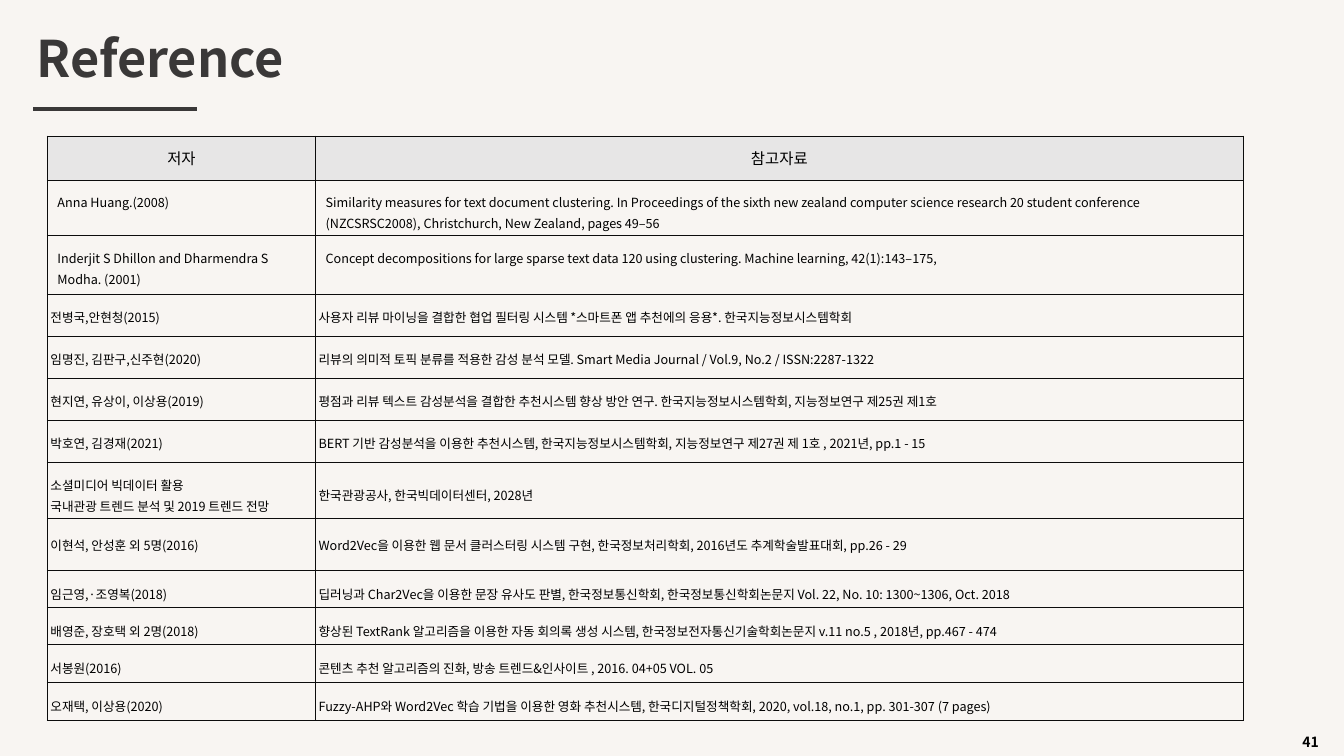
from lxml import etree
from pptx import Presentation
from pptx.dml.color import RGBColor
from pptx.enum import shapes, text
from pptx.oxml import ns
from pptx.util import Inches, Pt

FONT = "Noto Sans CJK KR"
INK, BORDER, HEADER_FILL = "3A3838", "0C0C0C", "E7E6E6"


def write_text(frame, content, size=9, color="000000", bold=False, align=None,
               spacing=None, kerning=True):
    frame.word_wrap = True
    frame.vertical_anchor = text.MSO_ANCHOR.TOP
    for index, line in enumerate(content.split("\n")):
        paragraph = frame.add_paragraph() if index else frame.paragraphs[0]
        paragraph.alignment = align
        paragraph.line_spacing = spacing
        run = paragraph.add_run()
        run.text = line
        run.font.size, run.font.bold, run.font.name = Pt(size), bold, FONT
        run.font.color.rgb = RGBColor.from_string(color)
        east_asian = etree.SubElement(run.font._element, ns.qn("a:ea"))
        east_asian.set("typeface", FONT)
        if not kerning:
            run.font._element.set("kern", "0")


def add_borders(cell):
    properties = cell._tc.get_or_add_tcPr()
    for side in ("lnL", "lnR", "lnT", "lnB"):
        line = etree.SubElement(properties, ns.qn("a:" + side), w=str(Pt(0.75)))
        fill = etree.SubElement(line, ns.qn("a:solidFill"))
        etree.SubElement(fill, ns.qn("a:srgbClr"), val=BORDER)


presentation = Presentation()
presentation.slide_width, presentation.slide_height = Inches(13.33), Inches(7.5)
slide = presentation.slides.add_slide(presentation.slide_layouts[5])
slide.background.fill.solid()
slide.background.fill.fore_color.rgb = RGBColor.from_string("F8F5F2")

# Title and underline
title = slide.shapes.title
title.left, title.top = Inches(0.26), Inches(0.29)
title.width, title.height = Inches(8.67), Inches(0.89)
write_text(title.text_frame, "Reference", size=36, color=INK, bold=True,
           align=text.PP_ALIGN.LEFT, spacing=0.9)
title.text_frame.auto_size = text.MSO_AUTO_SIZE.NONE

underline = slide.shapes.add_connector(
    shapes.MSO_CONNECTOR.STRAIGHT, Inches(0.33), Inches(1.08), Inches(1.95), Inches(1.08))
underline.line.color.rgb = RGBColor.from_string(INK)
underline.line.width = Pt(2.75)
etree.SubElement(underline._element.spPr, ns.qn("a:effectLst"))

# Reference table: row height, bottom margin, author, work
references = [
    (0.44, 0.1, "저자", "참고자료"),
    (0.55, 0.03, "Anna Huang.(2008)",
     "Similarity measures for text document clustering. In Proceedings of the sixth new zealand "
     "computer science research 20 student conference (NZCSRSC2008), Christchurch, New Zealand, "
     "pages 49–56"),
    (0.58, 0.03, "Inderjit S Dhillon and Dharmendra S Modha. (2001)",
     "Concept decompositions for large sparse text data 120 using clustering. "
     "Machine learning, 42(1):143–175,"),
    (0.42, 0.1, "전병국,안현청(2015)",
     "사용자 리뷰 마이닝을 결합한 협업 필터링 시스템 *스마트폰 앱 추천에의 응용*. 한국지능정보시스템학회"),
    (0.42, 0.1, "임명진, 김판구,신주현(2020)",
     "리뷰의 의미적 토픽 분류를 적용한 감성 분석 모델. "
     "Smart Media Journal / Vol.9, No.2 / ISSN:2287-1322"),
    (0.41, 0.1, "현지연, 유상이, 이상용(2019)",
     "평점과 리뷰 텍스트 감성분석을 결합한 추천시스템 향상 방안 연구. "
     "한국지능정보시스템학회, 지능정보연구 제25권 제1호"),
    (0.42, 0.1, "박호연, 김경재(2021)",
     "BERT 기반 감성분석을 이용한 추천시스템, 한국지능정보시스템학회, "
     "지능정보연구 제27권 제 1호 , 2021년, pp.1 - 15"),
    (0.55, 0.03, "소셜미디어 빅데이터 활용\n국내관광 트렌드 분석 및 2019 트렌드 전망",
     "한국관광공사, 한국빅데이터센터, 2028년"),
    (0.52, 0.1, "이현석, 안성훈 외 5명(2016)",
     "Word2Vec을 이용한 웹 문서 클러스터링 시스템 구현, 한국정보처리학회, "
     "2016년도 추계학술발표대회, pp.26 - 29"),
    (0.37, 0.03, "임근영,·조영복(2018)",
     "딥러닝과 Char2Vec을 이용한 문장 유사도 판별, 한국정보통신학회, "
     "한국정보통신학회논문지 Vol. 22, No. 10: 1300~1306, Oct. 2018"),
    (0.37, 0.03, "배영준, 장호택 외 2명(2018)",
     "향상된 TextRank 알고리즘을 이용한 자동 회의록 생성 시스템, "
     "한국정보전자통신기술학회논문지 v.11 no.5 , 2018년, pp.467 - 474"),
    (0.37, 0.03, "서봉원(2016)",
     "콘텐츠 추천 알고리즘의 진화, 방송 트렌드&인사이트 , 2016. 04+05 VOL. 05"),
    (0.38, 0.03, "오재택, 이상용(2020)",
     "Fuzzy-AHP와 Word2Vec 학습 기법을 이용한 영화 추천시스템, 한국디지털정책학회, "
     "2020, vol.18, no.1, pp. 301-307 (7 pages)"),
]
table_height = sum(reference[0] for reference in references)
table = slide.shapes.add_table(len(references), 2, Inches(0.47), Inches(1.35),
                               Inches(11.86), Inches(table_height)).table
table.first_row = table.horz_banding = False
table.columns[0].width, table.columns[1].width = Inches(2.66), Inches(9.2)

for row_index, (height, bottom_margin, *entries) in enumerate(references):
    table.rows[row_index].height = Inches(height)
    is_header, is_wide_inset = row_index == 0, row_index < 3
    for column_index, entry in enumerate(entries):
        cell = table.cell(row_index, column_index)
        cell.margin_left = cell.margin_right = Inches(0.1 if is_wide_inset else 0.03)
        cell.margin_top, cell.margin_bottom = Inches(0.1), Inches(bottom_margin)
        add_borders(cell)
        if is_header:
            cell.fill.solid()
            cell.fill.fore_color.rgb = RGBColor.from_string(HEADER_FILL)
            write_text(cell.text_frame, entry, size=11, align=text.PP_ALIGN.CENTER)
        else:
            cell.fill.background()
            write_text(cell.text_frame, entry, spacing=1.15, kerning=is_wide_inset)
        cell.vertical_anchor = (text.MSO_ANCHOR.TOP if is_wide_inset
                                else text.MSO_ANCHOR.MIDDLE)

# Page number
page_number = slide.shapes.add_textbox(Inches(12.82), Inches(7.23), Inches(1.03), Inches(0.27))
write_text(page_number.text_frame, "41", size=10, bold=True)

presentation.save("out.pptx")
